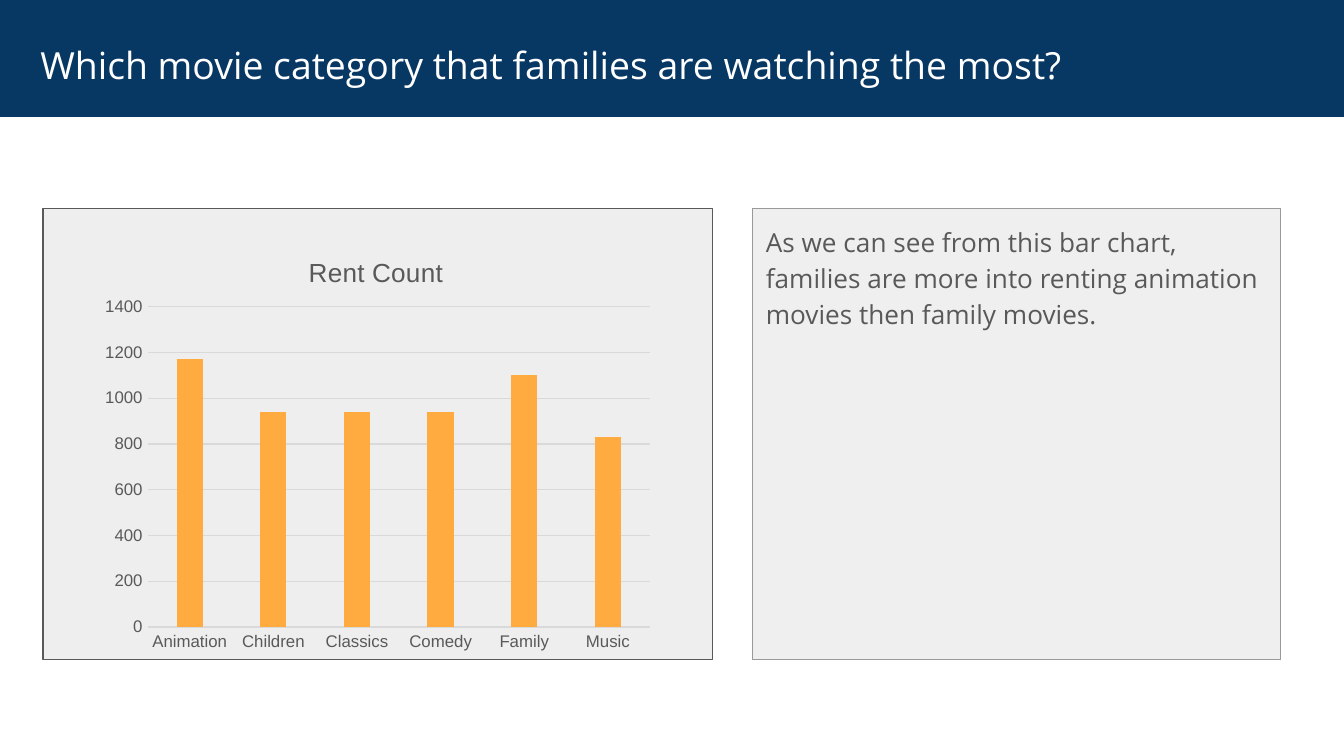
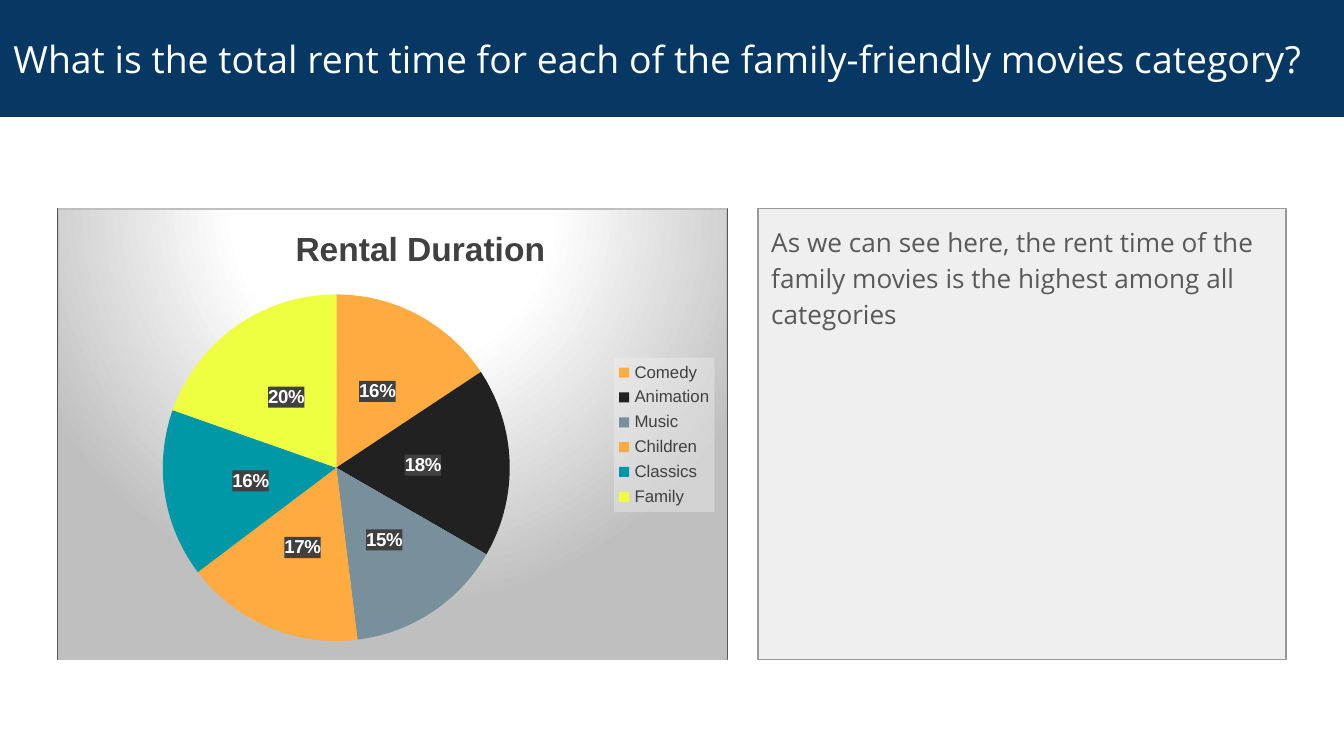
from lxml import etree
from pptx import Presentation
from pptx import util as u
from pptx.chart.data import CategoryChartData
from pptx.dml.color import RGBColor
from pptx.enum import chart as ch, shapes, text
from pptx.oxml import parse_xml
from pptx.oxml.ns import nsdecls, qn

NAVY, WHITE, PANEL, GREY = "073763", "FFFFFF", "EEEEEE", "595959"
DARK, GRID, ORANGE = "404040", "D9D9D9", "FFAB40"
SLICES = [ORANGE, "212121", "78909C", ORANGE, "0097A7", "EEFF41"]
TEXT_FONT, CHART_FONT = "Open Sans", "Arial"
TOP, HEIGHT, CHART_W, NOTE_W = 1.55, 3.36, 4.98, 3.93


def rgb(value):
    """Turn a hex string into a colour."""
    return RGBColor.from_string(value)


def style(font, size, color, name=TEXT_FONT, bold=False):
    """Set the usual properties of a font."""
    font.name, font.size, font.bold = name, u.Pt(size), bold
    font.color.rgb = rgb(color)


def paint(sp, fill, line=None):
    """Fill a shape and give it a thin outline, or none."""
    sp.fill.solid()
    sp.fill.fore_color.rgb = rgb(fill)
    if line:
        sp.line.color.rgb = rgb(line)
        sp.line.width = u.Pt(0.75)
    else:
        sp.line.fill.background()


def set_insets(tf, left=0.1, top=0.1):
    """Wrap the text and set its margins."""
    tf.word_wrap = True
    tf.auto_size = text.MSO_AUTO_SIZE.NONE
    tf.margin_left, tf.margin_top = u.Inches(left), u.Inches(top)
    tf.margin_right = tf.margin_bottom = u.Inches(0.1)


def add_title_band(s, title, left=0.1, top=0.1):
    """Make the title placeholder the band across the slide."""
    sp = s.shapes.title
    sp.left, sp.top = u.Inches(0), u.Inches(0)
    sp.width, sp.height = u.Inches(10), u.Inches(0.87)
    paint(sp, NAVY)
    tf = sp.text_frame
    tf.text = title
    set_insets(tf, left, top)
    tf.vertical_anchor = text.MSO_ANCHOR.MIDDLE
    p = tf.paragraphs[0]
    p.alignment = text.PP_ALIGN.LEFT
    style(p.font, 20, WHITE)


def add_note(s, box, words):
    """Add the commentary panel."""
    sp = s.shapes.add_textbox(*map(u.Inches, box))
    paint(sp, "EFEFEF", "999999")
    tf = sp.text_frame
    tf.text = words
    set_insets(tf)
    p = tf.paragraphs[0]
    p.line_spacing, p.space_after = 1.15, u.Pt(16)
    style(p.font, 14, GREY)


def add_panel(s, box):
    """Add the panel behind a chart."""
    sp = s.shapes.add_shape(shapes.MSO_SHAPE.RECTANGLE, *map(u.Inches, box))
    sp.shadow.inherit = False
    paint(sp, PANEL, GREY)


def place(part, x, y, w=None, h=None):
    """Give a chart part a manual layout in percent of the chart."""
    for old in part.findall(qn("c:layout")):
        part.remove(old)
    is_plot = part.tag == qn("c:plotArea")
    layout = parse_xml(f"<c:layout {nsdecls('c')}><c:manualLayout/></c:layout>")
    values = [("xMode", "edge"), ("yMode", "edge"), ("x", x / 100), ("y", y / 100)]
    if is_plot:
        values.insert(0, ("layoutTarget", "inner"))
    if w:
        values += [("w", w / 100), ("h", h / 100)]
    for name, value in values:
        etree.SubElement(layout[0], qn("c:" + name)).set("val", str(value))
    if is_plot:
        part.insert(0, layout)
    else:
        part.find(qn("c:overlay")).addprevious(layout)


def sp_pr(content):
    """Return chart shape properties that hold the given XML."""
    return parse_xml(f"<c:spPr {nsdecls('c', 'a')}>{content}</c:spPr>")


def solid(color, alpha=100):
    """Return the XML of a solid fill."""
    return (f'<a:solidFill><a:srgbClr val="{color}"><a:alpha val="{alpha * 1000}"/>'
            "</a:srgbClr></a:solidFill>")


def add_chart(s, box, kind, title, cats, vals, title_size, title_color, bold, title_at, background):
    """Add a titled one-series chart on the given background."""
    data = CategoryChartData()
    data.categories = cats
    data.add_series("Series 1", vals)
    chart = s.shapes.add_chart(kind, *map(u.Inches, box), data).chart
    style(chart.font, 10, "000000", CHART_FONT)
    chart.has_title = True
    chart.chart_title.include_in_layout = False
    tf = chart.chart_title.text_frame
    tf.text = title
    style(tf.paragraphs[0].font, title_size, title_color, CHART_FONT, bold)
    place(chart.chart_title._element, *title_at)
    chart._chartSpace.find(qn("c:chart")).addnext(sp_pr(background))
    return chart


def add_rent_count(s, box):
    """Add the column chart of rentals by category."""
    chart = add_chart(s, box, ch.XL_CHART_TYPE.COLUMN_CLUSTERED, "Rent Count",
                      ["Animation", "Children", "Classics", "Comedy", "Family", "Music"],
                      [1170, 940, 940, 940, 1100, 830], 14, GREY, False, (37, 4.8),
                      "<a:noFill/><a:ln><a:noFill/></a:ln>")
    chart.has_legend = False
    place(chart._chartSpace.chart.plotArea, 9.5, 17.9, 88.5, 74.5)
    plot = chart.plots[0]
    plot.gap_width, plot.overlap, plot.vary_by_categories = 219, -27, False
    fill = plot.series[0].format.fill
    fill.solid()
    fill.fore_color.rgb = rgb(ORANGE)
    for axis in (chart.category_axis, chart.value_axis):
        axis.major_tick_mark = axis.minor_tick_mark = ch.XL_TICK_MARK.NONE
        style(axis.tick_labels.font, 9, GREY, CHART_FONT)
    values = chart.value_axis
    values.minimum_scale, values.maximum_scale, values.major_unit = 0, 1400, 200
    values.format.line.fill.background()
    for line in (chart.category_axis.format.line, values.major_gridlines.format.line):
        line.color.rgb = rgb(GRID)
        line.width = u.Pt(0.75)


def add_rental_duration(s, box):
    """Add the pie chart of rental time by category."""
    stops = "".join(f'<a:gs pos="{pos}000"><a:srgbClr val="{color}"/></a:gs>'
                    for pos, color in [(0, WHITE), (39, WHITE), (100, "BFBFBF")])
    background = (f'<a:gradFill><a:gsLst>{stops}</a:gsLst><a:path path="circle">'
                  '<a:fillToRect l="50000" t="-80000" r="50000" b="180000"/></a:path>'
                  f'</a:gradFill><a:ln w="9525">{solid("BFBFBF")}</a:ln>')
    chart = add_chart(s, box, ch.XL_CHART_TYPE.PIE, "Rental Duration",
                      ["Comedy", "Animation", "Music", "Children", "Classics", "Family"],
                      [16, 18, 15, 17, 16, 20], 18, DARK, True, (34.6, 2.7), background)
    place(chart._chartSpace.chart.plotArea, 15.6, 19, 52, 77)
    plot = chart.plots[0]
    plot.vary_by_categories = True
    for i, color in enumerate(SLICES):
        fill = plot.series[0].points[i].format.fill
        fill.solid()
        fill.fore_color.rgb = rgb(color)
    labels = plot.series[0].data_labels
    labels.show_percentage, labels.show_value = True, False
    labels.number_format, labels.number_format_is_linked = "0%", False
    labels.position = ch.XL_LABEL_POSITION.CENTER
    style(labels.font, 10, WHITE, CHART_FONT, True)
    labels._element.find(qn("c:txPr")).addprevious(sp_pr(solid(DARK)))
    chart.has_legend = True
    legend = chart.legend
    legend.position = ch.XL_LEGEND_POSITION.RIGHT
    legend.include_in_layout = False
    style(legend.font, 9, DARK, CHART_FONT)
    place(legend._element, 83.2, 33, 15, 34.3)
    legend._element.find(qn("c:overlay")).addnext(sp_pr(solid("F2F2F2", 39)))


def main():
    """Build both slides and save them."""
    prs = Presentation()
    prs.slide_width = u.Inches(10)
    prs.slide_height = u.Inches(10 * 9 / 16)
    title_only = prs.slide_layouts[5]

    s = prs.slides.add_slide(title_only)
    add_note(s, (5.6, TOP, NOTE_W, HEIGHT), "As we can see from this bar chart, families are "
             "more into renting animation movies then family movies.")
    add_panel(s, (0.32, TOP, CHART_W, HEIGHT))
    add_title_band(s, "Which movie category that families are watching the most?", 0.3, 0.19)
    add_rent_count(s, (0.7, 1.71, 4.22, 3.2))

    s = prs.slides.add_slide(title_only)
    add_note(s, (5.64, TOP, NOTE_W, HEIGHT), "As we can see here, the rent time of the family "
             "movies is the highest among all categories")
    box = (0.43, TOP, CHART_W, HEIGHT)
    add_panel(s, box)
    add_title_band(s, "What is the total rent time for each of the family-friendly movies category?")
    add_rental_duration(s, box)

    prs.save("out.pptx")


main()
